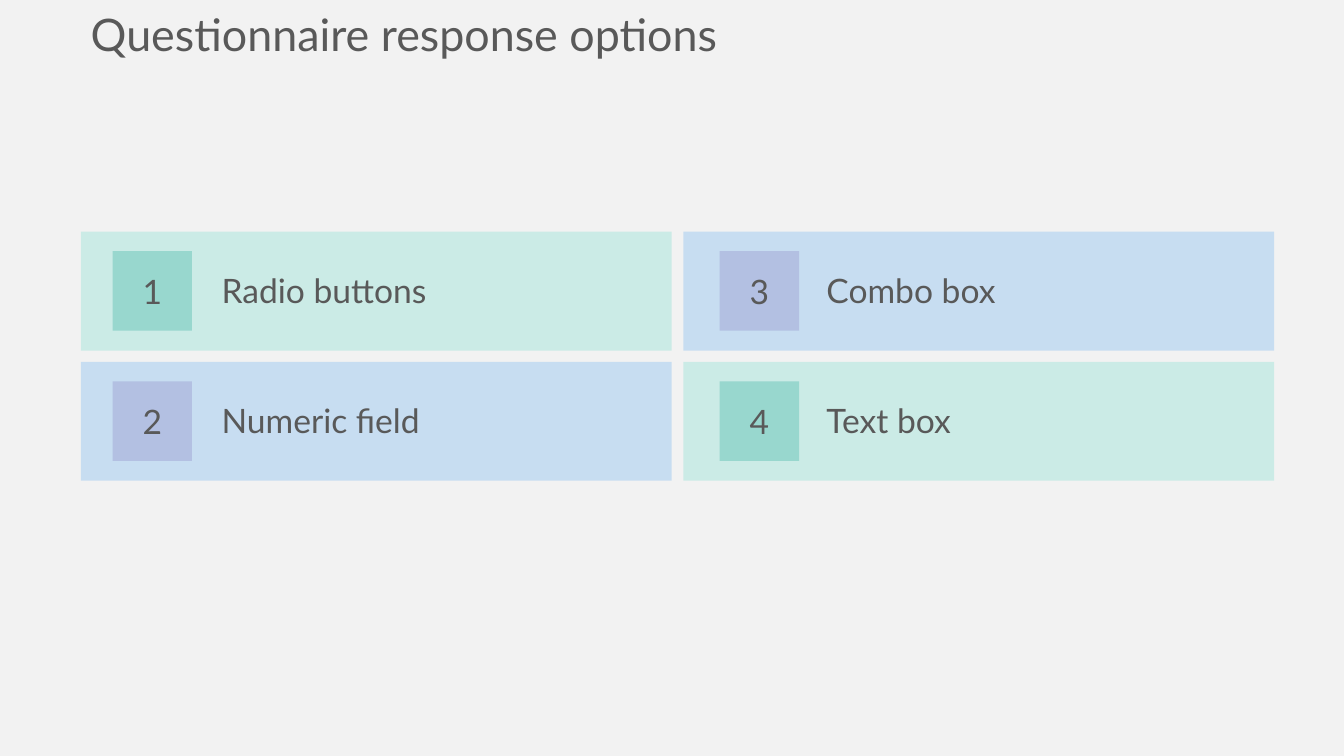
"""Build the slide of four numbered questionnaire response options."""
from dataclasses import dataclass

from pptx import Presentation
from pptx.dml.color import RGBColor
from pptx.enum.shapes import MSO_SHAPE
from pptx.enum.text import MSO_ANCHOR as ANCHOR, MSO_AUTO_SIZE as AUTO, PP_ALIGN as ALIGN
from pptx.util import Pt


@dataclass(frozen=True)
class Theme:
    font: str = "Lato"
    title_size: int = 32
    body_size: int = 24
    text: str = "595959"
    background: str = "F2F2F2"
    green: tuple = ("CBEBE6", "98D7CE")
    blue: tuple = ("C7DDF1", "B3C0E2")


theme = Theme()


def write(sp, text, size=theme.body_size, align=ALIGN.LEFT, anchor=ANCHOR.TOP, wrap=True):
    """Put one formatted line of text into a shape."""
    tf = sp.text_frame
    tf.auto_size = AUTO.NONE
    tf.word_wrap = wrap
    tf.vertical_anchor = anchor
    p = tf.paragraphs[0]
    p.alignment = align
    p.line_spacing = 1.0
    p.space_before = Pt(0)
    r = p.add_run()
    r.text = text
    r.font.name = theme.font
    r.font.size = Pt(size)
    r.font.color.rgb = RGBColor.from_string(theme.text)


def add_rect(x, y, w, h, color):
    """Add a plain filled rectangle."""
    sp = s.shapes.add_shape(MSO_SHAPE.RECTANGLE, Pt(x), Pt(y), Pt(w), Pt(h))
    sp.shadow.inherit = False
    sp.fill.solid()
    sp.fill.fore_color.rgb = RGBColor.from_string(color)
    sp.line.fill.background()
    return sp


prs = Presentation()
prs.slide_width, prs.slide_height = Pt(960), Pt(540)
s = prs.slides.add_slide(prs.slide_layouts[5])
s.background.fill.solid()
s.background.fill.fore_color.rgb = RGBColor.from_string(theme.background)

title = s.shapes.title
title.left, title.top, title.width, title.height = Pt(57.6), Pt(1.4), Pt(796), Pt(46)
write(title, "Questionnaire response options", size=theme.title_size)

tile_w, tile_h, badge = 422, 85, 56.8
top, row_step = 165.4, 93
columns = [
    (57.8, 80.4, 151.2, [("Radio buttons", theme.green), ("Numeric field", theme.blue)]),
    (488.1, 514, 583.2, [("Combo box", theme.blue), ("Text box", theme.green)]),
]

number = 0
for tile_x, badge_x, label_x, options in columns:
    for row, (option, (tile_color, badge_color)) in enumerate(options):
        number += 1
        y = top + row * row_step
        add_rect(tile_x, y, tile_w, tile_h, tile_color)
        sp = add_rect(badge_x, y + (tile_h - badge) / 2, badge, badge, badge_color)
        write(sp, str(number), align=ALIGN.CENTER, anchor=ANCHOR.MIDDLE)
        label = s.shapes.add_textbox(Pt(label_x), Pt(y + 23.9), Pt(286.6), Pt(36))
        write(label, option)

prs.save("out.pptx")
